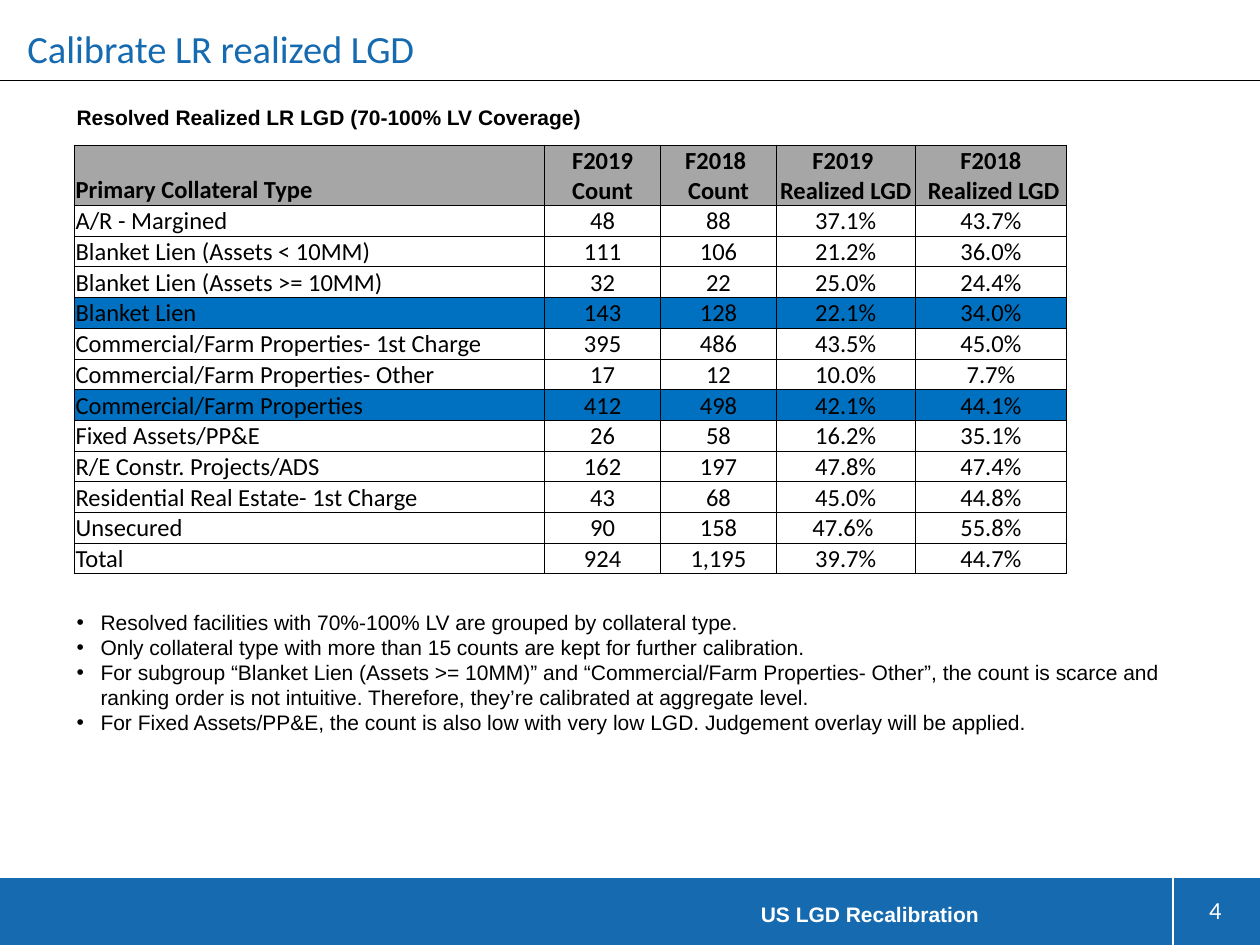
from lxml.etree import SubElement
from pptx import Presentation
from pptx.dml.color import RGBColor
from pptx.enum.shapes import MSO_CONNECTOR as Connector, MSO_SHAPE as Shape
from pptx.enum.text import MSO_ANCHOR as Anchor, PP_ALIGN as Align
from pptx.oxml.ns import qn
from pptx.util import Inches, Pt

COLORS = {
    "brand": "166AB0",
    "highlight": "0070C0",
    "header": "A6A6A6",
    "text": "000000",
    "white": "FFFFFF",
}
GRID_COLUMNS, GRID_ROWS = 100, 75
CELL = Inches(0.1)
FOOTER_TOP = 69.7
DIVIDER = 93.1

COLUMN_WIDTHS = [37.3, 9.25, 9.15, 11.05, 12]
HEADER_HEIGHT, ROW_HEIGHT = 4.8, 2.42
HEADER = ["Primary Collateral Type", "F2019 Count", "F2018 \nCount",
          "F2019 \nRealized LGD", "F2018\n Realized LGD"]
COLLATERAL = [
    ["A/R - Margined", "48", "88", "37.1%", "43.7%"],
    ["Blanket Lien (Assets < 10MM)", "111", "106", "21.2%", "36.0%"],
    ["Blanket Lien (Assets >= 10MM)", "32", "22", "25.0%", "24.4%"],
    ["Blanket Lien", "143", "128", "22.1%", "34.0%"],
    ["Commercial/Farm Properties- 1st Charge", "395", "486", "43.5%", "45.0%"],
    ["Commercial/Farm Properties- Other", "17", "12", "10.0%", "7.7%"],
    ["Commercial/Farm Properties", "412", "498", "42.1%", "44.1%"],
    ["Fixed Assets/PP&E", "26", "58", "16.2%", "35.1%"],
    ["R/E Constr. Projects/ADS", "162", "197", "47.8%", "47.4%"],
    ["Residential Real Estate- 1st Charge", "43", "68", "45.0%", "44.8%"],
    ["Unsecured", "90", "158", "47.6% ", "55.8%"],
    ["Total", "924", "1,195", "39.7%", "44.7%"],
]
AGGREGATES = {"Blanket Lien", "Commercial/Farm Properties"}
HEADING = "Resolved Realized LR LGD (70-100% LV Coverage)"
FINDINGS = [
    "Resolved facilities with 70%-100% LV are grouped by collateral type.",
    "Only collateral type with more than 15 counts are kept for further calibration.",
    "For subgroup “Blanket Lien (Assets >= 10MM)” and “Commercial/Farm Properties- Other”, "
    "the count is scarce and ranking order is not intuitive. "
    "Therefore, they’re calibrated at aggregate level.",
    "For Fixed Assets/PP&E, the count is also low with very low LGD. "
    "Judgement overlay will be applied.",
]


def grid(*counts):
    return [round(count * CELL) for count in counts]


def color(name):
    return RGBColor.from_string(COLORS[name])


def style(paragraph, size, font_name="Arial", color_name="text", bold=False, align=Align.LEFT):
    paragraph.alignment = align
    font = paragraph.font
    font.size, font.name, font.bold = Pt(size), font_name, bold
    font.color.rgb = color(color_name)


def add_band(slide, box, color_name):
    band = slide.shapes.add_shape(Shape.RECTANGLE, *grid(*box))
    band.shadow.inherit = False
    band.fill.solid()
    band.fill.fore_color.rgb = color(color_name)
    band.line.fill.background()


def add_line(slide, ends, color_name, width):
    line = slide.shapes.add_connector(Connector.STRAIGHT, *grid(*ends))
    line.line.color.rgb = color(color_name)
    line.line.width = Pt(width)
    SubElement(line._element.spPr, qn("a:effectLst"))


def add_text(slide, box, text, anchor=Anchor.TOP, **look):
    frame = slide.shapes.add_textbox(*grid(*box)).text_frame
    frame.word_wrap = True
    frame.vertical_anchor = anchor
    frame.text = text
    style(frame.paragraphs[0], **look)
    return frame


def add_bullets(frame, texts, gap_above):
    for index, text in enumerate(texts):
        paragraph = frame.add_paragraph()
        paragraph.text = text
        style(paragraph, 12)
        paragraph.space_before = Pt(0 if index else gap_above)
        properties = paragraph._p.get_or_add_pPr()
        properties.set("marL", str(Inches(0.19)))
        properties.set("indent", str(-Inches(0.19)))
        SubElement(properties, qn("a:buFont"), typeface="Arial")
        SubElement(properties, qn("a:buChar"), char="•")


def add_borders(cell):
    properties = cell._tc.get_or_add_tcPr()
    for side in ("lnL", "lnR", "lnT", "lnB"):
        border = SubElement(properties, qn(f"a:{side}"), w=str(Pt(0.5)))
        fill = SubElement(border, qn("a:solidFill"))
        SubElement(fill, qn("a:srgbClr"), val=COLORS["text"])


def fill_cell(cell, text, fill_name, bold, align):
    cell.margin_left = cell.margin_right = cell.margin_top = Inches(0.01)
    cell.margin_bottom = 0
    cell.vertical_anchor = Anchor.BOTTOM
    cell.text = text
    for paragraph in cell.text_frame.paragraphs:
        style(paragraph, 14, "Calibri", bold=bold, align=align)
    add_borders(cell)
    if fill_name:
        cell.fill.solid()
        cell.fill.fore_color.rgb = color(fill_name)
    else:
        cell.fill.background()


def add_collateral_table(slide, left, top):
    rows = [HEADER, *COLLATERAL]
    heights = [HEADER_HEIGHT] + [ROW_HEIGHT] * len(COLLATERAL)
    box = grid(left, top, sum(COLUMN_WIDTHS), sum(heights))
    table = slide.shapes.add_table(len(rows), len(HEADER), *box).table
    table.horz_banding = table.first_row = False
    for column, width in zip(table.columns, grid(*COLUMN_WIDTHS)):
        column.width = width
    for row, height in zip(table.rows, grid(*heights)):
        row.height = height
    for row_index, values in enumerate(rows):
        is_header = row_index == 0
        fill_name = "header" if is_header else "highlight" if values[0] in AGGREGATES else None
        for column_index, text in enumerate(values):
            align = Align.CENTER if column_index else Align.LEFT
            fill_cell(table.cell(row_index, column_index), text, fill_name, is_header, align)


def add_footer(slide):
    add_band(slide, (0, FOOTER_TOP, GRID_COLUMNS, GRID_ROWS - FOOTER_TOP), "brand")
    add_line(slide, (DIVIDER, FOOTER_TOP, DIVIDER, GRID_ROWS), "white", 0.75)
    number = add_text(slide, (93.4, 70.1, 6.1, 4.2), "4", Anchor.MIDDLE, size=14,
                      font_name="Calibri", color_name="white", align=Align.CENTER)
    number.margin_left = number.margin_right = number.margin_top = number.margin_bottom = 0
    add_text(slide, (59.4, 71.1, 33.2, 3), "US LGD Recalibration", size=12,
             color_name="white", bold=True)


def main():
    presentation = Presentation()
    presentation.slide_width, presentation.slide_height = grid(GRID_COLUMNS, GRID_ROWS)
    slide = presentation.slides.add_slide(presentation.slide_layouts[6])
    add_footer(slide)
    add_line(slide, (0, 6.4, GRID_COLUMNS, 6.4), "text", 0.5)
    add_text(slide, (1.2, 1.5, 90, 4.7), "Calibrate LR realized LGD", Anchor.MIDDLE,
             size=22, font_name="Calibri", color_name="brand")
    body = add_text(slide, (5.1, 7.8, 90, 61.2), HEADING, size=12, bold=True)
    add_bullets(body, FINDINGS, gap_above=274)
    add_collateral_table(slide, 5.9, 11.5)
    presentation.save("out.pptx")


if __name__ == "__main__":
    main()
